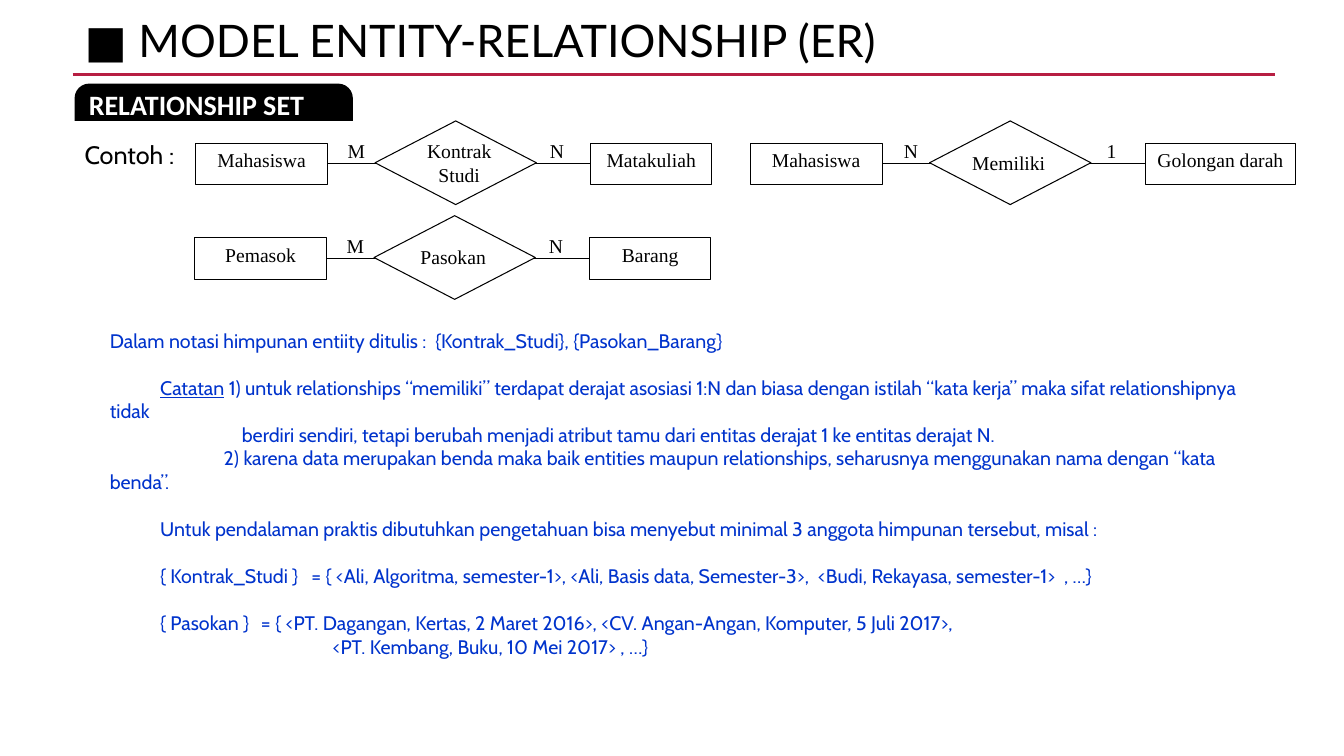
"""Build the slide on relationship sets in the entity-relationship model."""
from dataclasses import dataclass

from lxml.etree import SubElement
from pptx import Presentation
from pptx.dml.color import RGBColor
from pptx.enum.shapes import MSO_CONNECTOR, MSO_SHAPE
from pptx.enum.text import MSO_ANCHOR, MSO_AUTO_SIZE, PP_ALIGN
from pptx.oxml.ns import qn
from pptx.util import Inches, Pt

BLACK = RGBColor(0x00, 0x00, 0x00)
WHITE = RGBColor(0xFF, 0xFF, 0xFF)
CRIMSON = RGBColor(0xB7, 0x1E, 0x42)
BLUE = RGBColor(0x00, 0x33, 0xCC)

DIAMOND_WIDTH, DIAMOND_HEIGHT = 1.6, 0.83
ENTITY_WIDTH, ENTITY_HEIGHT = 1.31, 0.41
RIGHT_ENTITY_OFFSET = 3.92
LINE_GAP = 16.9


@dataclass(frozen=True)
class Relationship:
    """Two entities joined by a named diamond."""
    left: float
    top: float
    first: str
    first_degree: str
    name: str
    second_degree: str
    second: str
    second_width: float = 1.2
    name_offset: float = 2.08
    name_height: float = 0.34


@dataclass(frozen=True)
class Note:
    """One paragraph of the explanation."""
    text: str
    indent: float = 0.5
    gap: bool = False
    underlined: str = ""
    tab: float = 0


RELATIONSHIPS = (
    Relationship(1.94, 1.2, "Mahasiswa", "M", "Kontrak\nStudi", "N", "Matakuliah",
                 name_offset=2.13, name_height=0.57),
    Relationship(1.93, 2.14, "Pemasok", "M", "Pasokan", "N", "Barang"),
    Relationship(7.44, 1.2, "Mahasiswa", "N", "Memiliki", "1", "Golongan darah",
                 second_width=1.49),
)

NOTES = (
    Note("Dalam notasi himpunan entiity ditulis :  {Kontrak_Studi}, {Pasokan_Barang}", 0),
    Note(" 1) untuk relationships “memiliki” terdapat derajat asosiasi 1:N dan biasa dengan "
         "istilah “kata kerja” maka sifat relationshipnya tidak", gap=True, underlined="Catatan"),
    Note("berdiri sendiri, tetapi berubah menjadi atribut tamu dari entitas derajat 1 "
         "ke entitas derajat N.", 1.31),
    Note("2) karena data merupakan benda maka baik entities maupun relationships, "
         "seharusnya menggunakan nama dengan “kata benda”.", 1.13),
    Note("Untuk pendalaman praktis dibutuhkan pengetahuan bisa menyebut minimal 3 anggota "
         "himpunan tersebut, misal :", gap=True),
    Note("{ Kontrak_Studi }\t= { <Ali, Algoritma, semester-1>, <Ali, Basis data, Semester-3>,  "
         "<Budi, Rekayasa, semester-1>  , …}", gap=True, tab=2),
    Note("{ Pasokan }\t= { <PT. Dagangan, Kertas, 2 Maret 2016>, "
         "<CV. Angan-Angan, Komputer, 5 Juli 2017>,", gap=True, tab=2),
    Note("<PT. Kembang, Buku, 10 Mei 2017> , …}", 2.21),
)


def style(para, font_name: str, size: float, color: RGBColor, align=PP_ALIGN.LEFT) -> None:
    """Set the font and alignment of a paragraph."""
    para.alignment = align
    para.font.name = font_name
    para.font.size = Pt(size)
    para.font.color.rgb = color


def add_text(shapes, left: float, top: float, width: float, height: float):
    """Add a wrapping text box and return its frame."""
    frame = shapes.add_textbox(Inches(left), Inches(top), Inches(width), Inches(height)).text_frame
    frame.word_wrap = True
    return frame


def add_shape(shapes, kind, left: float, top: float, width: float, height: float, fill: RGBColor):
    """Add a flat filled shape with a thin black outline."""
    shape = shapes.add_shape(kind, Inches(left), Inches(top), Inches(width), Inches(height))
    shape.shadow.inherit = False
    shape.fill.solid()
    shape.fill.fore_color.rgb = fill
    shape.line.color.rgb = BLACK
    shape.line.width = Pt(0.75)
    return shape


def add_line(shapes, start: float, end: float, top: float, color: RGBColor, width: float) -> None:
    """Add a horizontal line."""
    line = shapes.add_connector(MSO_CONNECTOR.STRAIGHT, Inches(start), Inches(top),
                                Inches(end), Inches(top))
    line.line.color.rgb = color
    line.line.width = Pt(width)
    SubElement(line._element.spPr, qn("a:effectLst"))


def write_label(frame, text: str) -> None:
    """Write a centred diagram label."""
    para = frame.paragraphs[0]
    para.text = text
    style(para, "Times New Roman", 14, BLACK, PP_ALIGN.CENTER)


def add_relationship(page, item: Relationship) -> None:
    """Draw one relationship as a group."""
    shapes = page.shapes.add_group_shape().shapes
    right = item.left + RIGHT_ENTITY_OFFSET
    for text, left, width in ((item.first, item.left, ENTITY_WIDTH),
                              (item.second, right, item.second_width)):
        entity = add_shape(shapes, MSO_SHAPE.RECTANGLE, left, item.top + 0.22,
                           width, ENTITY_HEIGHT, WHITE)
        entity.text_frame.word_wrap = True
        entity.text_frame.vertical_anchor = MSO_ANCHOR.TOP
        write_label(entity.text_frame, text)
    add_line(shapes, item.left + ENTITY_WIDTH, right, item.top + 0.42, BLACK, 0.75)
    add_shape(shapes, MSO_SHAPE.DIAMOND, item.left + 1.78, item.top,
              DIAMOND_WIDTH, DIAMOND_HEIGHT, WHITE)
    for text, offset in ((item.first_degree, 1.41), (item.second_degree, 3.4)):
        write_label(add_text(shapes, item.left + offset, item.top + 0.13, 0.37, 0.41), text)
    name_top = item.top + (DIAMOND_HEIGHT - item.name_height) / 2
    write_label(add_text(shapes, item.left + item.name_offset, name_top,
                         0.97, item.name_height), item.name)


def add_notes(page) -> None:
    """Write the explanation below the diagrams."""
    frame = add_text(page.shapes, 0.99, 3.21, 11.78, 2.93)
    for index, note in enumerate(NOTES):
        para = frame.add_paragraph() if index else frame.paragraphs[0]
        if note.underlined:
            span = para.add_run()
            span.text = note.underlined
            span.font.underline = True
        para.add_run().text = note.text
        properties = para._p.get_or_add_pPr()
        properties.set("marL", "0")
        properties.set("indent", str(Inches(note.indent)))
        if note.gap:
            para.space_before = Pt(LINE_GAP)
        if note.tab:
            tabs = SubElement(properties, qn("a:tabLst"))
            SubElement(tabs, qn("a:tab"), pos=str(Inches(note.tab)), algn="l")
        style(para, "Cabin", 14, BLUE)


def add_heading(page) -> None:
    """Place the title, its rule, the section tag and the example caption."""
    title = page.shapes.title
    title.left, title.top = Inches(0.74), Inches(0.14)
    title.width, title.height = Inches(12.3), Inches(0.54)
    title.text_frame.text = "■ MODEL ENTITY-RELATIONSHIP (ER)"
    title.text_frame.auto_size = MSO_AUTO_SIZE.NONE
    title.text_frame.vertical_anchor = MSO_ANCHOR.TOP
    para = title.text_frame.paragraphs[0]
    para.line_spacing = 0.9
    style(para, "Lato", 32, BLACK)
    add_line(page.shapes, 0.72, 12.65, 0.74, CRIMSON, 2.5)

    tag = add_shape(page.shapes, MSO_SHAPE.ROUND_2_SAME_RECTANGLE, 0.74, 0.83, 2.76, 0.37, BLACK)
    tag.adjustments[0] = 0.39
    tag.line.fill.background()
    tag.text_frame.text = "RELATIONSHIP SET"
    tag.text_frame.vertical_anchor = MSO_ANCHOR.MIDDLE
    style(tag.text_frame.paragraphs[0], "Calibri", 20, WHITE)
    tag.text_frame.paragraphs[0].font.bold = True

    caption = add_text(page.shapes, 0.74, 1.33, 11.47, 1.62)
    caption.text = "Contoh :"
    style(caption.paragraphs[0], "Cabin", 18, BLACK)


def main() -> None:
    """Create and save the deck."""
    deck = Presentation()
    deck.slide_width, deck.slide_height = Inches(13.33), Inches(7.5)
    page = deck.slides.add_slide(deck.slide_layouts[5])
    add_heading(page)
    for item in RELATIONSHIPS:
        add_relationship(page, item)
    add_notes(page)
    deck.save("out.pptx")


if __name__ == "__main__":
    main()
